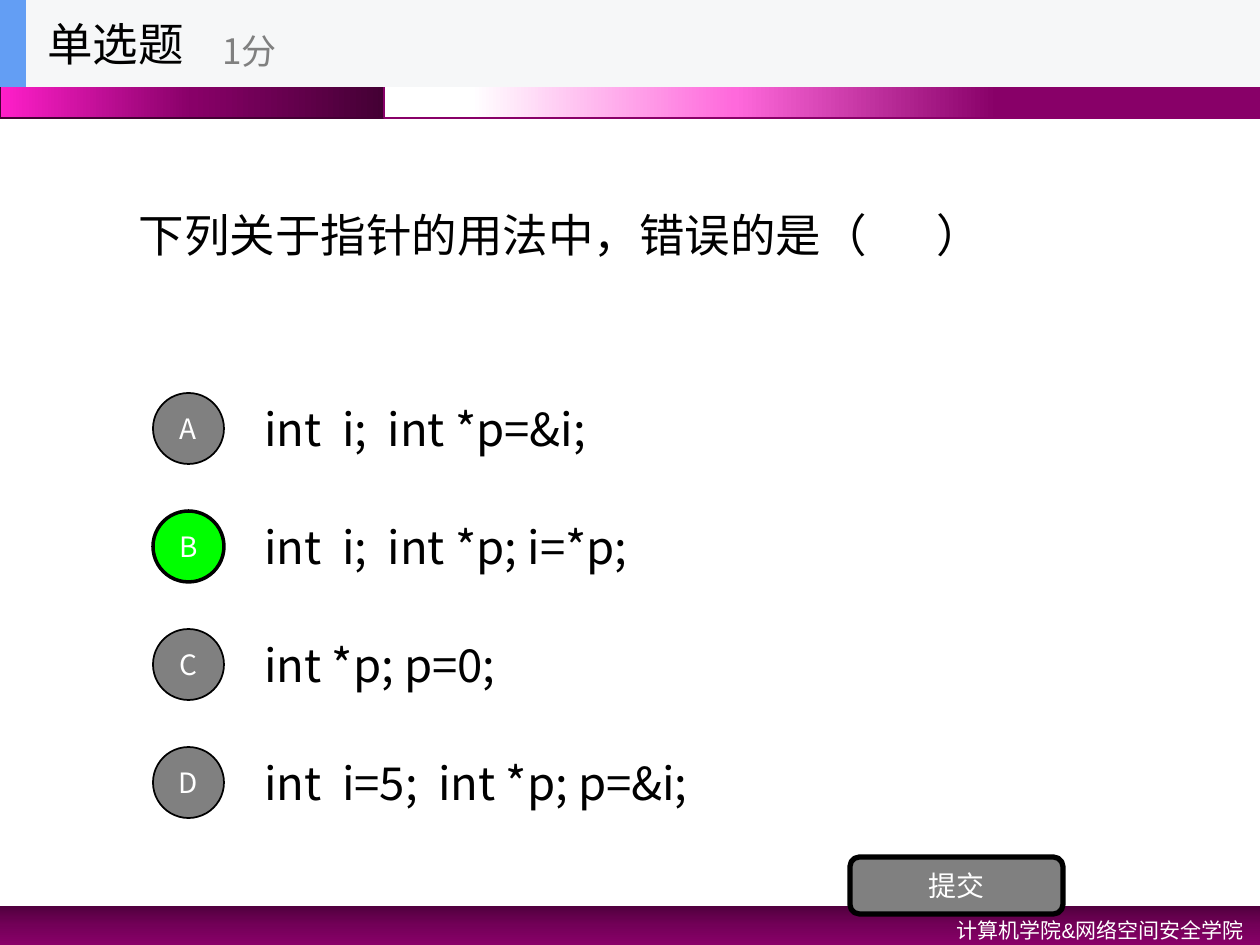
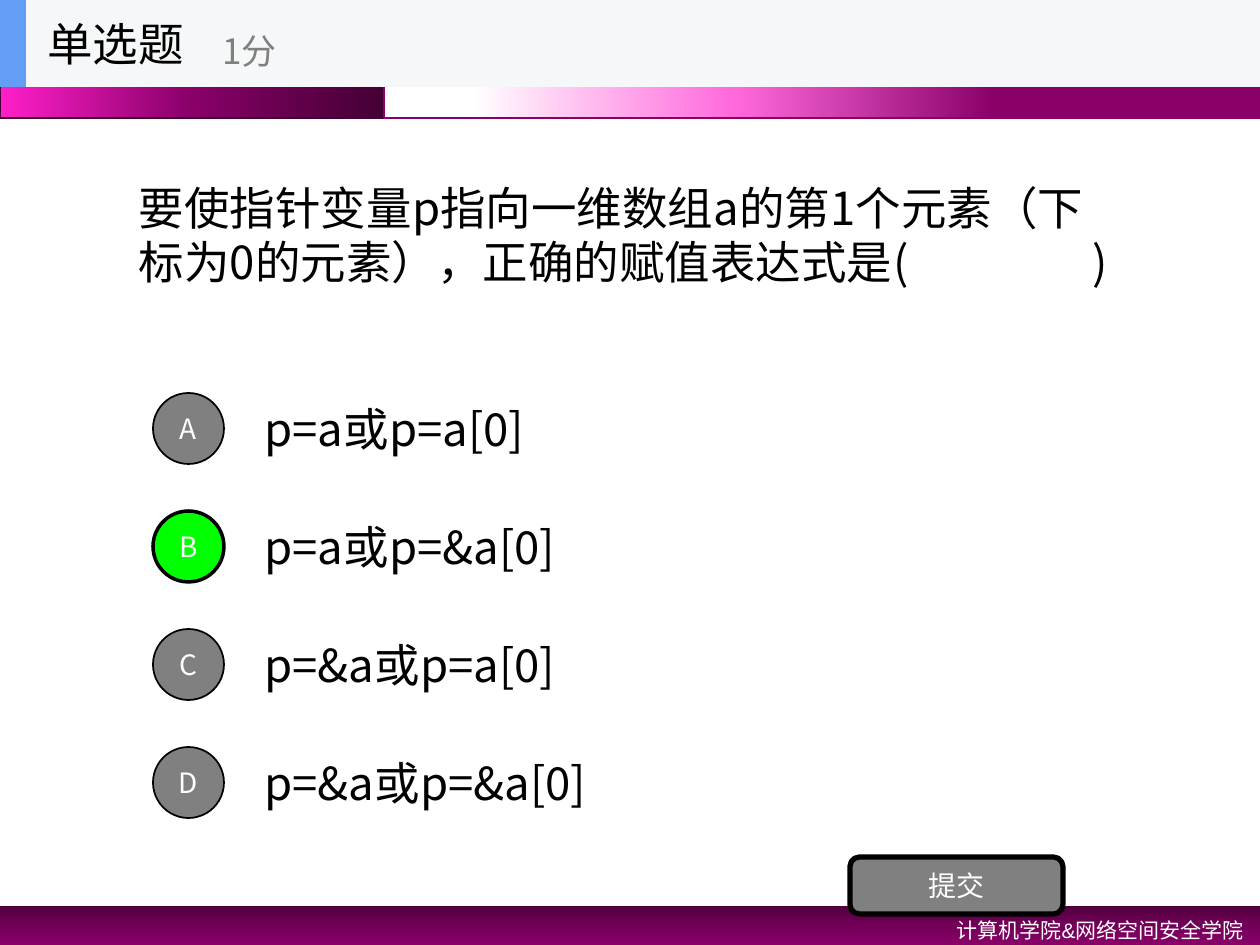
from lxml import etree
from pptx import Presentation
from pptx.dml.color import RGBColor
from pptx.enum.shapes import MSO_SHAPE
from pptx.enum.text import MSO_ANCHOR, MSO_AUTO_SIZE, PP_ALIGN
from pptx.oxml.ns import qn
from pptx.util import Emu, Pt

RECT, OVAL, ROUND = MSO_SHAPE.RECTANGLE, MSO_SHAPE.OVAL, MSO_SHAPE.ROUNDED_RECTANGLE
LEFT, CENTER, RIGHT = PP_ALIGN.LEFT, PP_ALIGN.CENTER, PP_ALIGN.RIGHT
TOP, MIDDLE = MSO_ANCHOR.TOP, MSO_ANCHOR.MIDDLE
NO_AUTOFIT = MSO_AUTO_SIZE.NONE
TITLE_ONLY = 5

QUESTIONS = [
    {
        "question": "下列关于指针的用法中，错误的是（\t）",
        "blank_end": 798,
        "options": ["int  i;  int *p=&i;", "int  i;  int *p; i=*p;",
                    "int *p; p=0;", "int  i=5;  int *p; p=&i;"],
        "answer": "B",
    },
    {
        "question": "要使指针变量p指向一维数组a的第1个元素（下标为0的元素），正确的赋值表达式是(\t)",
        "blank_end": 954,
        "options": ["p=a或p=a[0]", "p=a或p=&a[0]", "p=&a或p=a[0]", "p=&a或p=&a[0]"],
        "answer": "B",
    },
]
KIND, SCORE, SUBMIT = "单选题", "1分", "提交"
SCHOOL = "计算机学院&网络空间安全学院"

COLORS = {
    "black": "000000", "white": "FFFFFF", "gray": "808080", "correct": "00FF00",
    "header": "F6F7F8", "accent": "639EF4",
    "plum": "880068", "dark_plum": "440034",
}
BANDS = [
    ((0, 906, 1260, 39), 270, [(0, "51003E"), (50, "730058"), (100, "880068")], None),
    ((0, 0, 384, 118), 180, [(0, "440034"), (50, "880068"), (100, "FF1FCA")], "dark_plum"),
    ((384, 0, 876, 118), 180, [(30, "880068"), (60, "FF69DC"), (90, "FFFFFF")], "plum"),
]
FONT, FOOTER_FONT = "Noto Sans CJK SC", "Arial"
PX = 914400 / 126
OPTION_TOP, OPTION_STEP, OPTION_H, BADGE = 384, 118, 88, 71


def px(v):
    return Emu(round(v * PX))


def box(*lengths):
    return [px(v) for v in lengths]


def rgb(name):
    return RGBColor.from_string(COLORS[name])


def write(sp, text, size, color="black", align=LEFT, anchor=MIDDLE, font=FONT):
    tf = sp.text_frame
    tf.text = text
    tf.word_wrap = True
    tf.auto_size = NO_AUTOFIT
    tf.vertical_anchor = anchor
    p = tf.paragraphs[0]
    p.alignment = align
    for r in p.runs:
        r.font.size = Pt(size)
        r.font.name = font
        r.font.color.rgb = rgb(color)
        ea = etree.SubElement(r.font._element, qn("a:ea"))
        ea.set("typeface", FONT)
    return p


def add_text(shapes, place, text, size, **style):
    return write(shapes.add_textbox(*box(*place)), text, size, **style)


def add_block(shapes, kind, place, fill=None, line=None, width=1):
    sp = shapes.add_shape(kind, *box(*place))
    sp.shadow.inherit = False
    if fill:
        sp.fill.solid()
        sp.fill.fore_color.rgb = rgb(fill)
    if line:
        sp.line.color.rgb = rgb(line)
        sp.line.width = Pt(width)
    else:
        sp.line.fill.background()
    return sp


def add_band(shapes, place, angle, stops, line):
    sp = add_block(shapes, RECT, place, line=line)
    sp.fill.gradient()
    sp.fill.gradient_angle = angle
    stop_list = sp.element.find(".//" + qn("a:gsLst"))
    for gs in list(stop_list):
        stop_list.remove(gs)
    for pos, color in stops:
        gs = etree.SubElement(stop_list, qn("a:gs"), pos=str(pos * 1000))
        etree.SubElement(gs, qn("a:srgbClr"), val=color)


def dress_layout(prs, layout):
    for ph in list(layout.placeholders)[1:]:
        ph.element.getparent().remove(ph.element)
    s = prs.slides.add_slide(layout)
    for band in BANDS:
        add_band(s.shapes, *band)
    p = add_text(s.shapes, (809, 906, 447, 40), SCHOOL, 12, color="white",
                 align=RIGHT, anchor=TOP, font=FOOTER_FONT)
    p.line_spacing = 1.2
    for sp in list(s.shapes)[1:]:
        layout.shapes.element.append(sp.element)
    return s


def add_header(s):
    shapes = s.shapes.add_group_shape().shapes
    add_block(shapes, RECT, (0, 0, 1260, 87), "header")
    add_block(shapes, RECT, (0, 0, 26, 87), "accent")
    add_text(shapes, (35, 0, 262, 87), KIND, 26)
    add_text(shapes, (210, 15, 315, 71), SCORE, 20, color="gray")


def add_question(s, item):
    title = s.shapes.title
    title.left, title.top, title.width, title.height = box(126, 87, 1008, 295)
    p = write(title, item["question"], 26)
    tabs = etree.SubElement(p._p.get_or_add_pPr(), qn("a:tabLst"))
    etree.SubElement(tabs, qn("a:tab"), pos=str(px(item["blank_end"])), algn="l")

    tops = [OPTION_TOP + i * OPTION_STEP for i in range(len(item["options"]))]
    for y, option in zip(tops, item["options"]):
        add_text(s.shapes, (252, y, 882, OPTION_H), option, 26)
    for y, letter in zip(tops, "ABCD"):
        fill, width = ("correct", 2) if letter == item["answer"] else ("gray", 1)
        badge = add_block(s.shapes, OVAL, (153, y + 9, BADGE, BADGE), fill, "black", width)
        badge.text_frame.margin_left = badge.text_frame.margin_right = 0
        write(badge, letter, 16, color="white", align=CENTER)

    button = add_block(s.shapes, ROUND, (850, 857, 213, 57), "gray", "black", 3)
    write(button, SUBMIT, 16, color="white", align=CENTER)
    add_header(s)


def main():
    prs = Presentation()
    prs.slide_width, prs.slide_height = box(1260, 945)
    layout = prs.slide_layouts[TITLE_ONLY]
    first = dress_layout(prs, layout)
    slides = [first] + [prs.slides.add_slide(layout) for _ in QUESTIONS[1:]]
    for s, item in zip(slides, QUESTIONS):
        add_question(s, item)
    prs.save("out.pptx")


if __name__ == "__main__":
    main()
